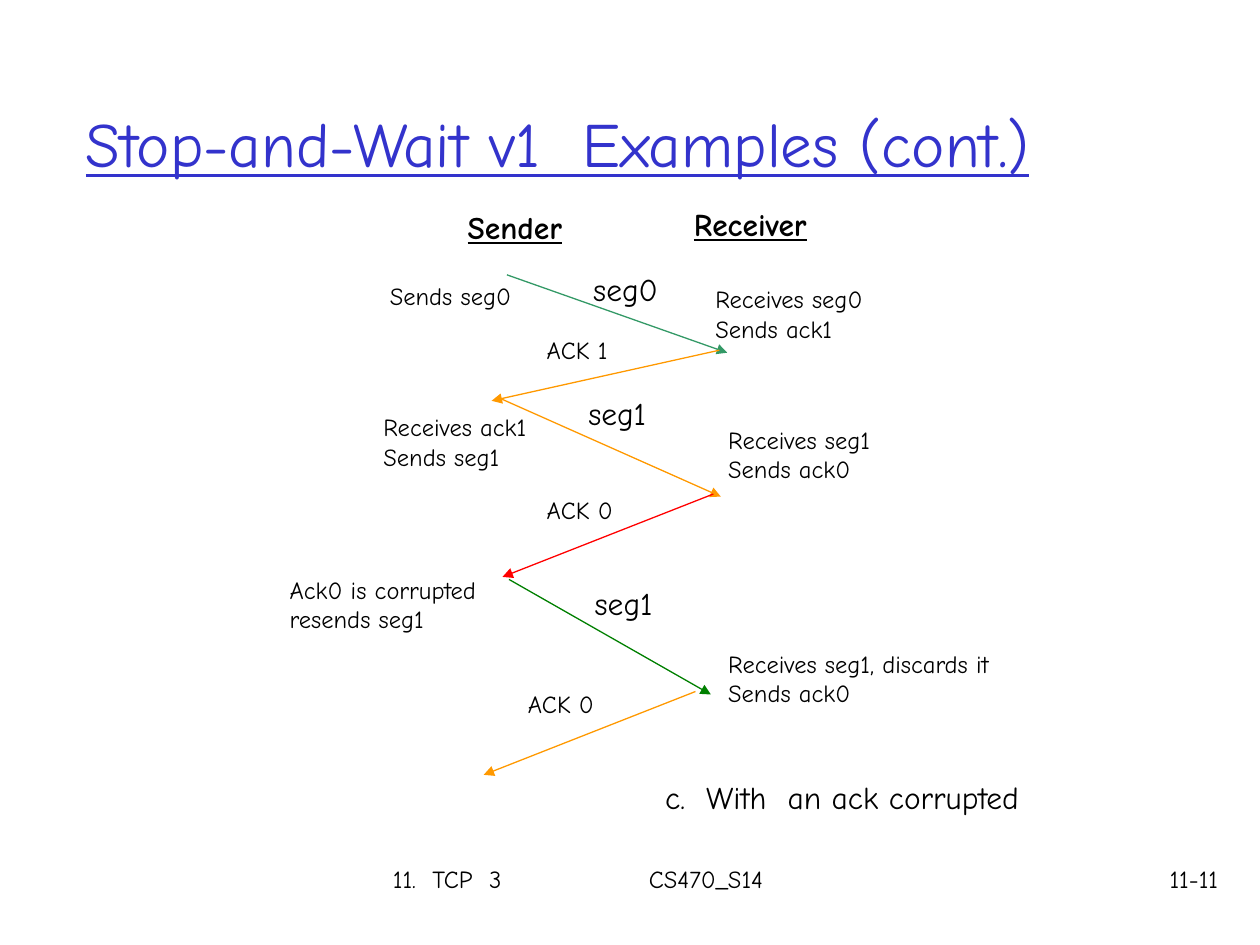
from collections import namedtuple

from lxml import etree
from pptx import Presentation
from pptx.dml.color import RGBColor
from pptx.enum.shapes import MSO_CONNECTOR
from pptx.enum.text import MSO_ANCHOR, PP_ALIGN
from pptx.oxml.ns import qn
from pptx.util import Cm, Pt

STRAIGHT = MSO_CONNECTOR.STRAIGHT
MIDDLE = MSO_ANCHOR.MIDDLE
TOP = MSO_ANCHOR.TOP
LEFT = PP_ALIGN.LEFT
RIGHT = PP_ALIGN.RIGHT

Box = namedtuple("Box", "left top width height")

FONT = "Comic Neue"
BLACK, BLUE = "000000", "3333CC"
TEAL, ORANGE, RED, GREEN = "339966", "FF9900", "FF0000", "008000"

TITLE_FORMAT = {"size": Pt(36), "underline": True}
HEADING_FORMAT = {"size": Pt(18), "bold": True, "underline": True}
LABEL_FORMAT = {"size": Pt(18)}
NOTE_FORMAT = {"size": Pt(14)}

HEADINGS = [
    ("Sender", 3.68, 0.16, 2.5),
    ("Receiver", 8.24, 0.1, 2.9),
]
LABELS = [
    ("seg0", 6.21, 1.41, 2),
    ("seg1", 6.11, 3.91, 2),
    ("seg1", 6.24, 7.74, 2),
    ("c.  With  an ack corrupted", 7.66, 11.66, 7.8),
]
NOTES = [
    ("Sends seg0", 2.11, 1.64, 3.1),
    ("Receives seg0\nSends ack1", 8.67, 1.71, 3.6),
    ("ACK 1", 5.27, 2.73, 2.31),
    ("Receives ack1\nSends seg1", 1.98, 4.29, 3.6),
    ("Receives seg1\nSends ack0", 8.93, 4.54, 3.6),
    ("ACK 0", 5.27, 5.96, 2.31),
    ("Ack0 is corrupted\nresends seg1", 0.09, 7.56, 4.5),
    ("Receives seg1, discards it\nSends ack0", 8.93, 9.05, 6.48),
    ("ACK 0", 4.89, 9.87, 2.31),
]
MESSAGES = [
    (TEAL, 4.72, 1.64, 9.16, 3.21),
    (ORANGE, 9, 3.16, 4.41, 4.18),
    (ORANGE, 4.58, 4.13, 9.03, 6.11),
    (RED, 8.88, 6.06, 4.63, 7.73),
    (GREEN, 4.76, 7.78, 8.83, 10.1),
    (ORANGE, 8.52, 10.04, 4.25, 11.72),
]


def colour(hex_text):
    return RGBColor.from_string(hex_text)


def add_text(page, box, text, formats, ink=BLACK, wrap=True, align=LEFT, anchor=TOP):
    frame = page.shapes.add_textbox(*(Cm(length) for length in box)).text_frame
    frame.word_wrap = wrap
    frame.vertical_anchor = anchor
    frame.text = text
    for para in frame.paragraphs:
        para.alignment = align
        for span in para.runs:
            span.font.name = FONT
            span.font.color.rgb = colour(ink)
            for name, value in formats.items():
                setattr(span.font, name, value)
    return frame


def add_tab_stop(para, position):
    properties = para._p.get_or_add_pPr()
    stops = etree.SubElement(properties, qn("a:tabLst"))
    etree.SubElement(stops, qn("a:tab"), pos=str(Cm(position)), algn="l")


def add_arrow(page, start, end, ink):
    arrow = page.shapes.add_connector(STRAIGHT, *(Cm(length) for length in start + end))
    arrow.line.color.rgb = colour(ink)
    arrow.line.width = Pt(0.75)
    etree.SubElement(arrow.line._get_or_add_ln(), qn("a:tailEnd"), type="triangle")
    etree.SubElement(arrow._element.spPr, qn("a:effectLst"))


def add_title(page, box):
    add_text(page, box, "Stop-and-Wait v1  Examples (cont.)", TITLE_FORMAT, BLUE, anchor=MIDDLE)


def add_exchange(page, box):
    for ink, x1, y1, x2, y2 in MESSAGES:
        start = (box.left + x1, box.top + y1)
        end = (box.left + x2, box.top + y2)
        add_arrow(page, start, end, ink)
    groups = [
        (HEADINGS, HEADING_FORMAT, 1.02),
        (LABELS, LABEL_FORMAT, 1.02),
        (NOTES, NOTE_FORMAT, 0.86),
    ]
    for entries, formats, line_height in groups:
        for text, x, y, width in entries:
            height = line_height + 0.59 * text.count("\n")
            place = Box(box.left + x, box.top + y, width, height)
            add_text(page, place, text, formats)


def add_footer(page, box):
    number_width = 2.51
    course = box._replace(width=box.width - number_width)
    frame = add_text(page, course, "11.  TCP  3\tCS470_S14", NOTE_FORMAT)
    add_tab_stop(frame.paragraphs[0], 5.16)
    number = box._replace(left=box.left + box.width - number_width, width=number_width)
    add_text(page, number, "11-11", NOTE_FORMAT, align=RIGHT)


def main():
    deck = Presentation()
    deck.slide_width, deck.slide_height = Cm(25.4), Cm(19.05)
    page = deck.slides.add_slide(deck.slide_layouts[6])
    add_title(page, Box(1.48, 1.3, 21.59, 3.15))
    add_exchange(page, Box(5.5, 3.9, 15.5, 12.7))
    add_footer(page, Box(7.67, 17.3, 17.14, 1.27))
    deck.save("out.pptx")


if __name__ == "__main__":
    main()
